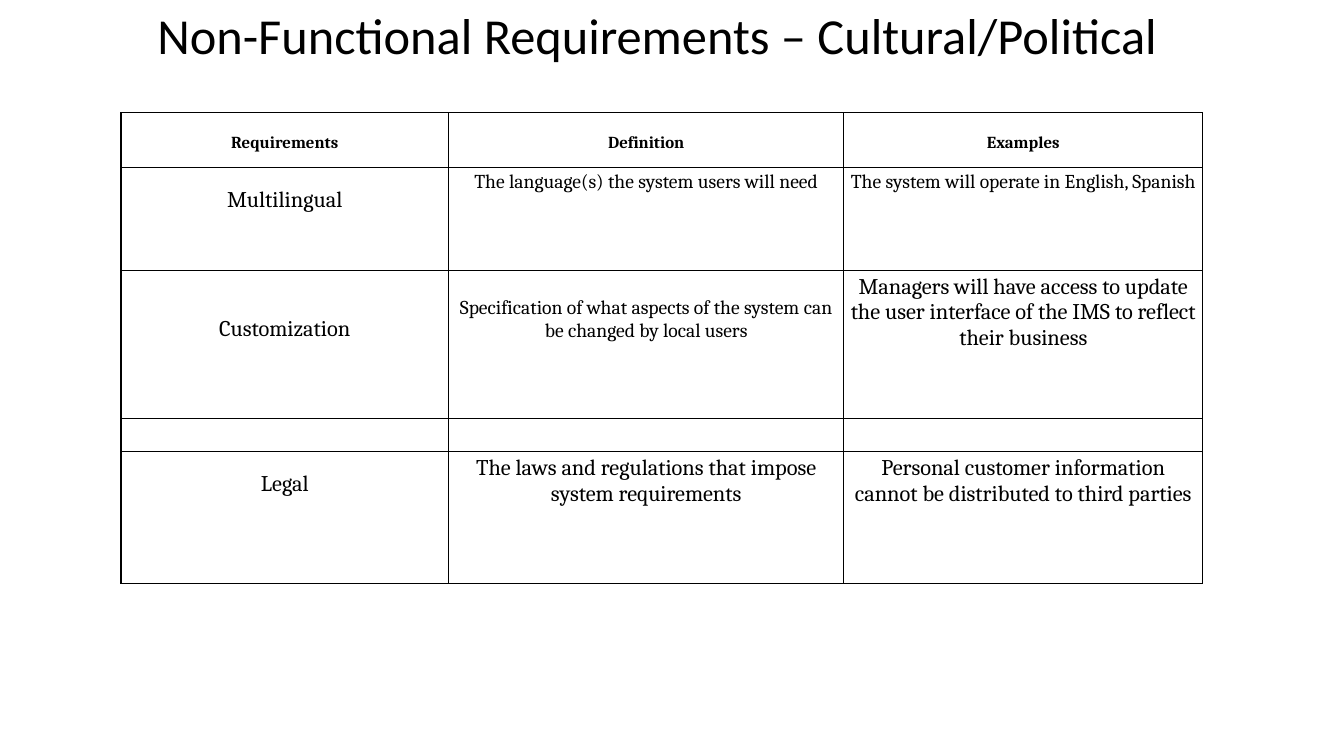
from lxml.etree import SubElement
from pptx import Presentation
from pptx.dml.color import RGBColor
from pptx.enum.text import MSO_ANCHOR, PP_ALIGN
from pptx.oxml.ns import qn
from pptx.util import Inches, Pt

BLACK = RGBColor(0, 0, 0)
WHITE = RGBColor(255, 255, 255)
COLUMN_WIDTHS = [3.25, 3.92, 3.56]
ROW_HEIGHTS = [0.54, 1.02, 1.47, 0.33, 1.31]
REQUIREMENTS = [
    [("Requirements", 12, 0.2), ("Definition", 12, 0.2), ("Examples", 12, 0.2)],
    [("Multilingual", 16, 0.2),
     ("The language(s) the system users will need", 14, 0.04),
     ("The system will operate in English, Spanish", 14, 0.04)],
    [("Customization", 16, 0.46),
     ("Specification of what aspects of the system can be changed by local users", 14, 0.27),
     ("Managers will have access to update the user interface of the IMS to reflect their business",
      16, 0.04)],
    [("", 16, 0)] * 3,
    [("Legal", 16, 0.2),
     ("The laws and regulations that impose system requirements", 16, 0.04),
     ("Personal customer information cannot be distributed to third parties", 16, 0.04)],
]


class RequirementsSlide:
    title_font = "Calibri"
    table_font = "Cambria"
    inset = 0.04

    def __init__(self, presentation):
        self.slide = presentation.slides.add_slide(presentation.slide_layouts[5])

    def format_text(self, paragraph, font_name, size, bold=False):
        for run in paragraph.runs:
            run.font.name = font_name
            run.font.size = Pt(size)
            run.font.bold = bold
            run.font.color.rgb = BLACK

    def add_title(self, text, left, top, width, height):
        title = self.slide.shapes.title
        title.left, title.top = Inches(left), Inches(top)
        title.width, title.height = Inches(width), Inches(height)
        title.text_frame.text = text
        title.text_frame.word_wrap = True
        title.text_frame.vertical_anchor = MSO_ANCHOR.MIDDLE
        paragraph = title.text_frame.paragraphs[0]
        paragraph.alignment = PP_ALIGN.LEFT
        paragraph.line_spacing = 0.9
        self.format_text(paragraph, self.title_font, 36)

    def add_borders(self, cell):
        properties = cell._tc.get_or_add_tcPr()
        for position, side in enumerate(("lnL", "lnR", "lnT", "lnB")):
            line = properties.makeelement(qn(f"a:{side}"), {"w": str(Pt(1))})
            fill = SubElement(line, qn("a:solidFill"))
            SubElement(fill, qn("a:srgbClr"), val=str(BLACK))
            properties.insert(position, line)

    def fill_cell(self, cell, text, size, top_margin, bold):
        cell.margin_left = cell.margin_right = Inches(self.inset)
        cell.margin_top = Inches(top_margin)
        cell.margin_bottom = Inches(self.inset if text else 0)
        cell.fill.solid()
        cell.fill.fore_color.rgb = WHITE
        self.add_borders(cell)
        if text:
            cell.text_frame.text = text
            paragraph = cell.text_frame.paragraphs[0]
            paragraph.alignment = PP_ALIGN.CENTER
            self.format_text(paragraph, self.table_font, size, bold)

    def add_table(self, rows, left, top, widths, heights):
        table = self.slide.shapes.add_table(
            len(rows), len(widths), Inches(left), Inches(top),
            Inches(sum(widths)), Inches(sum(heights))).table
        table.horz_banding = False
        for column, width in zip(table.columns, widths):
            column.width = Inches(width)
        for row, height in zip(table.rows, heights):
            row.height = Inches(height)
        for row_index, entries in enumerate(rows):
            for column_index, (text, size, top_margin) in enumerate(entries):
                self.fill_cell(table.cell(row_index, column_index), text, size,
                               top_margin, bold=row_index == 0)


def main():
    presentation = Presentation()
    presentation.slide_width = Inches(13.33)
    presentation.slide_height = Inches(7.5)
    requirements_slide = RequirementsSlide(presentation)
    requirements_slide.add_title(
        "Non-Functional Requirements – Cultural/Political", 1.46, -0.13, 11.5, 1.02)
    requirements_slide.add_table(REQUIREMENTS, 1.2, 1.12, COLUMN_WIDTHS, ROW_HEIGHTS)
    presentation.save("out.pptx")


if __name__ == "__main__":
    main()
